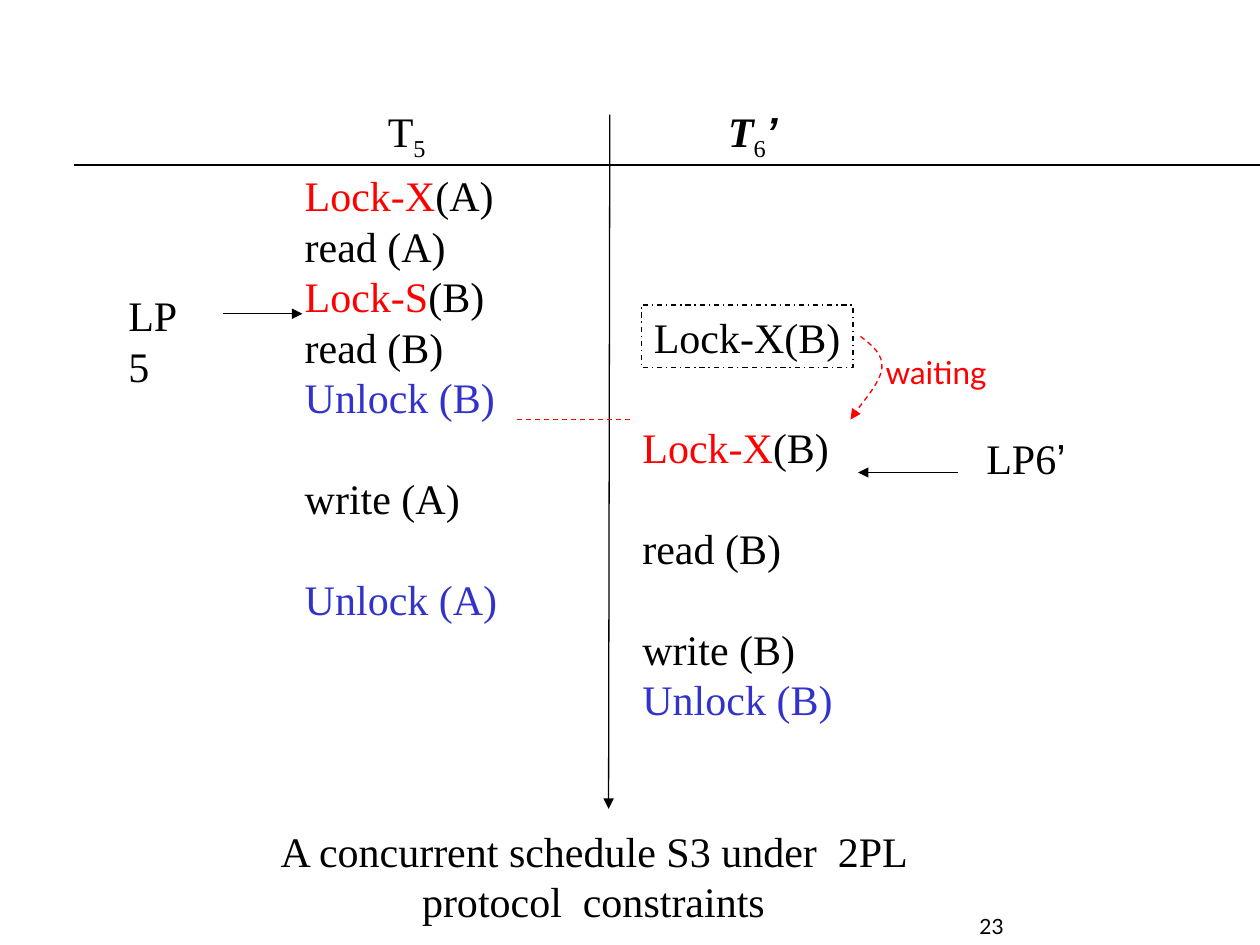
"""Build the slide of a concurrent schedule under two-phase locking."""
import lxml.etree
import pptx
import pptx.dml.color
import pptx.enum.dml
import pptx.enum.shapes
import pptx.enum.text
import pptx.oxml.ns
import pptx.util

BLACK, RED, BLUE = "000000", "FF0000", "3333CC"
SERIF, SANS, ACCENT = "Times New Roman", "Lato", "Arial"
LEFT, CENTER = pptx.enum.text.PP_ALIGN.LEFT, pptx.enum.text.PP_ALIGN.CENTER
TOP, BOTTOM = pptx.enum.text.MSO_ANCHOR.TOP, pptx.enum.text.MSO_ANCHOR.BOTTOM
DASH, DASH_DOT = pptx.enum.dml.MSO_LINE.DASH, pptx.enum.dml.MSO_LINE.DASH_DOT
STEP = 4

schedule = pptx.Presentation()
schedule.slide_width, schedule.slide_height = pptx.util.Inches(10), pptx.util.Inches(7.5)
CELL = schedule.slide_width // 100
shapes = schedule.slides.add_slide(schedule.slide_layouts[6]).shapes


def write(holder, lines, size=24, face=SERIF, align=LEFT, anchor=TOP, wrap=False):
    """Fill a shape with (skipped rows, runs) lines."""
    frame = holder.text_frame
    for key, value in {"word_wrap": wrap, "vertical_anchor": anchor}.items():
        setattr(frame, key, value)
    for index, (skipped, runs) in enumerate(lines):
        paragraph = frame.add_paragraph() if index else frame.paragraphs[0]
        pitch = pptx.util.Pt(size * 1.2)
        layout = {"alignment": align, "line_spacing": pitch, "space_before": pitch * skipped}
        for key, value in layout.items():
            setattr(paragraph, key, value)
        for text, color, changes in runs:
            run = paragraph.add_run()
            run.text = text
            style = {"size": pptx.util.Pt(size), "name": face} | changes
            baseline = style.pop("baseline", None)
            for key, value in style.items():
                setattr(run.font, key, value)
            run.font.color.rgb = pptx.dml.color.RGBColor.from_string(color)
            if baseline:
                run.font._element.set("baseline", baseline)


def stroke(outlined, color=BLACK, dash=None, arrow=False):
    """Style the line of a shape or connector."""
    line = outlined.line
    line.color.rgb = pptx.dml.color.RGBColor.from_string(color)
    for key, value in {"width": pptx.util.Pt(0.75), "dash_style": dash}.items():
        setattr(line, key, value)
    properties = outlined._element.spPr
    if arrow:
        tail = lxml.etree.SubElement(properties.find(pptx.oxml.ns.qn("a:ln")), pptx.oxml.ns.qn("a:tailEnd"))
        tail.set("type", "triangle")
    if properties.find(pptx.oxml.ns.qn("a:effectLst")) is None:
        lxml.etree.SubElement(properties, pptx.oxml.ns.qn("a:effectLst"))


subscript = {"baseline": "-25000"}
slanted = {"bold": True, "italic": True}
wrapped = {"wrap": True}
texts = [
    ((17.5, 65, 59.2, 9), [(0, [("A concurrent schedule S3 under  2PL protocol  constraints", BLACK, {})])],
     {"align": CENTER, "wrap": True}),
    ((29.8, 8.4, 10, 5), [(0, [("T", BLACK, {}), ("5", BLACK, subscript)])], wrapped),
    ((56.8, 8.4, 10, 5), [(0, [("T", BLACK, slanted), ("6", BLACK, subscript),
                              ("’", BLACK, slanted | {"name": ACCENT})])], wrapped),
    ((23.2, 13, 21.5, 9 * STEP + 1), [
        (0, [("Lock-X", RED, {}), ("(A)", BLACK, {})]),
        (0, [("read (A)", BLACK, {})]),
        (0, [("Lock-S", RED, {}), ("(B)", BLACK, {})]),
        (0, [("read (B)", BLACK, {})]),
        (0, [("Unlock (B)", BLUE, {})]),
        (1, [("write (A)", BLACK, {})]),
        (1, [("Unlock (A)", BLUE, {})])], wrapped),
    ((50, 13 + 5 * STEP, 21.5, 6 * STEP + 1), [
        (0, [("Lock-X", RED, {}), ("(B)", BLACK, {})]),
        (1, [("read (B)", BLACK, {})]),
        (1, [("write (B)", BLACK, {})]),
        (0, [("Unlock (B)", BLUE, {})])], wrapped),
    ((9.2, 22.5, 7.5, 5), [(0, [("LP5", BLACK, {})])], {}),
    ((77.3, 33.8, 8.3, 5), [(0, [("LP6", BLACK, {}), ("’", BLACK, {"name": ACCENT})])], {}),
    ((69.3, 27.5, 10.6, 4), [(0, [("waiting", RED, {})])], {"size": 18, "face": SANS}),
    ((68.3, 70, 20.8, 5), [(0, [("23", BLACK, {})])],
     {"size": 12, "face": SANS, "align": CENTER, "anchor": BOTTOM, "wrap": True}),
]
for place, lines, options in texts:
    write(shapes.add_textbox(*(int(CELL * n) for n in place)), lines, **options)

strokes = [
    ((5.9, 13.1, 100, 13.1), {}),
    ((48.4, 9.1, 48.3, 64.2), {"arrow": True}),
    ((76, 37.5, 68.1, 37.5), {"arrow": True}),
    ((17.7, 24.9, 24, 24.9), {"arrow": True}),
    ((50, 33.3, 40.8, 33.3), {"color": RED, "dash": DASH}),
]
for ends, options in strokes:
    connector = shapes.add_connector(pptx.enum.shapes.MSO_CONNECTOR.STRAIGHT, *(int(CELL * n) for n in ends))
    stroke(connector, **options)

request = shapes.add_shape(pptx.enum.shapes.MSO_SHAPE.RECTANGLE, *(int(CELL * n) for n in (50.9, 24.2, 16.8, 5)))
request.shadow.inherit = False
request.fill.background()
stroke(request, dash=DASH_DOT)
write(request, [(0, [("Lock-X(B)", BLACK, {})])])

bends = [(69.2, 27.4), (70.1, 28.1), (70, 29.2), (69.9, 30.3), (67.9, 32.6), (67.5, 33.3)]
outline = shapes.build_freeform(int(68.3 * CELL), int(26.7 * CELL))
outline.add_line_segments([(int(x * CELL), int(y * CELL)) for x, y in bends], close=False)
wait = outline.convert_to_shape()
wait.shadow.inherit = False
wait.fill.background()
stroke(wait, RED, DASH, arrow=True)
segments = list(wait._element.iter(pptx.oxml.ns.qn("a:lnTo")))
for start in range(0, len(segments), 3):
    curve = lxml.etree.SubElement(segments[start].getparent(), pptx.oxml.ns.qn("a:cubicBezTo"))
    for segment in segments[start:start + 3]:
        curve.append(segment[0])
        segment.getparent().remove(segment)

schedule.save("out.pptx")
